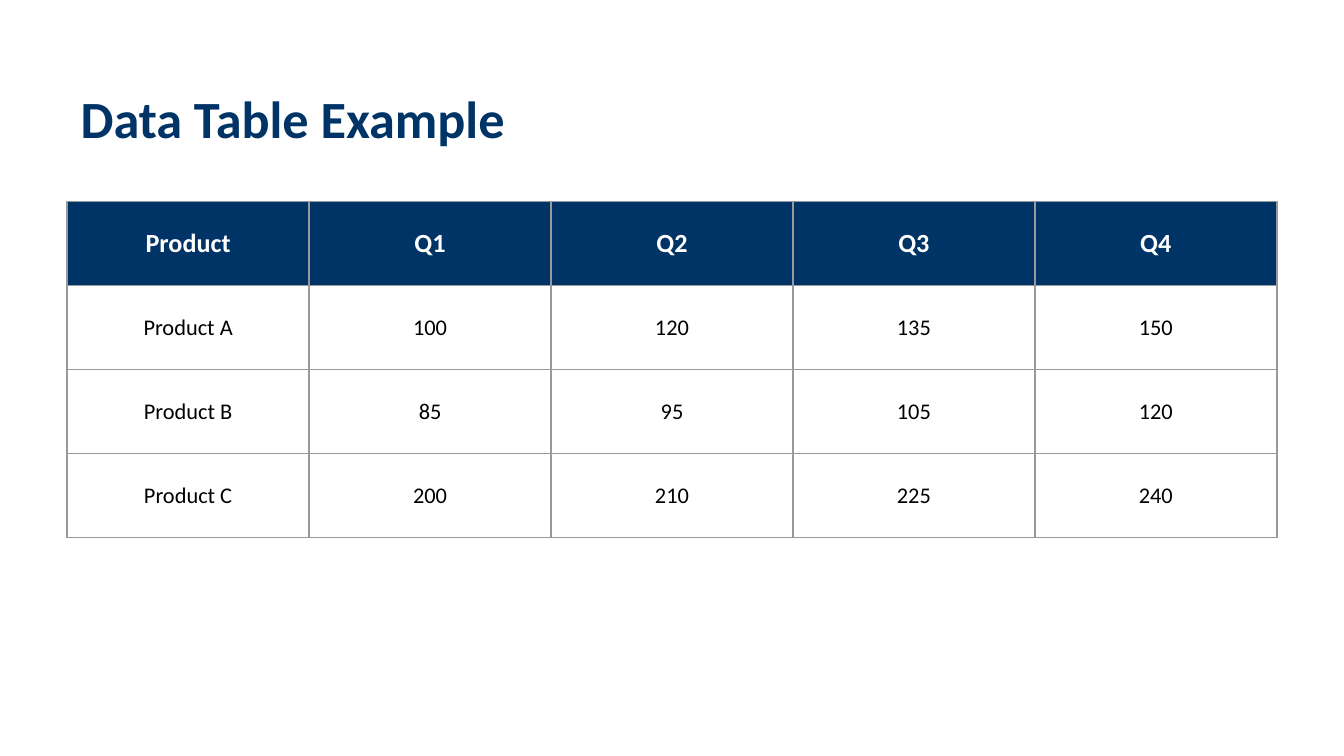
from dataclasses import dataclass

from lxml import etree
from pptx import Presentation
from pptx import util as u
from pptx.dml.color import RGBColor
from pptx.enum import text
from pptx.oxml import ns


@dataclass(frozen=True)
class Theme:
    font: str = "Calibri"
    navy: str = "003366"
    white: str = "FFFFFF"
    black: str = "000000"
    grid: str = "999999"
    title_size: int = 28
    header_size: int = 14
    body_size: int = 12
    grid_width: int = 1


theme = Theme()


def style_text(tf, size, color, bold, align):
    tf.vertical_anchor = text.MSO_ANCHOR.MIDDLE
    for p in tf.paragraphs:
        p.alignment = align
        for r in p.runs:
            r.font.name = theme.font
            r.font.size = u.Pt(size)
            r.font.bold = bold
            r.font.color.rgb = RGBColor.from_string(color)


def add_borders(cell):
    """Line all four sides; the lines must precede the fill in tcPr."""
    tc_pr = cell._tc.get_or_add_tcPr()
    for i, side in enumerate(("a:lnL", "a:lnR", "a:lnT", "a:lnB")):
        ln = etree.Element(ns.qn(side), w=str(u.Pt(theme.grid_width)))
        fill = etree.SubElement(ln, ns.qn("a:solidFill"))
        etree.SubElement(fill, ns.qn("a:srgbClr"), val=theme.grid)
        tc_pr.insert(i, ln)


prs = Presentation()
prs.slide_width = u.Inches(10)
prs.slide_height = u.Inches(10 * 9 / 16)  # 16:9
s = prs.slides.add_slide(prs.slide_layouts[5])  # Title Only

# Title
title = s.shapes.title
title.left, title.top = u.Inches(0.5), u.Inches(0.5)
title.width, title.height = u.Inches(9), u.Inches(0.75)
title.text_frame.text = "Data Table Example"
style_text(title.text_frame, theme.title_size, theme.navy, True, text.PP_ALIGN.LEFT)

# Quarterly figures
rows = [
    ("Product", "Q1", "Q2", "Q3", "Q4"),
    ("Product A", 100, 120, 135, 150),
    ("Product B", 85, 95, 105, 120),
    ("Product C", 200, 210, 225, 240),
]
table = s.shapes.add_table(
    len(rows), len(rows[0]),
    u.Inches(0.5), u.Inches(1.5), u.Inches(9), u.Inches(2.5),
).table
table.horz_banding = False

for i, row in enumerate(rows):
    header = i == 0
    for j, value in enumerate(row):
        cell = table.cell(i, j)
        cell.text_frame.text = str(value)
        style_text(
            cell.text_frame,
            theme.header_size if header else theme.body_size,
            theme.white if header else theme.black,
            header,
            text.PP_ALIGN.CENTER,
        )
        cell.vertical_anchor = text.MSO_ANCHOR.MIDDLE
        if header:
            cell.fill.solid()
            cell.fill.fore_color.rgb = RGBColor.from_string(theme.navy)
        else:
            cell.fill.background()
        add_borders(cell)

prs.save("out.pptx")
